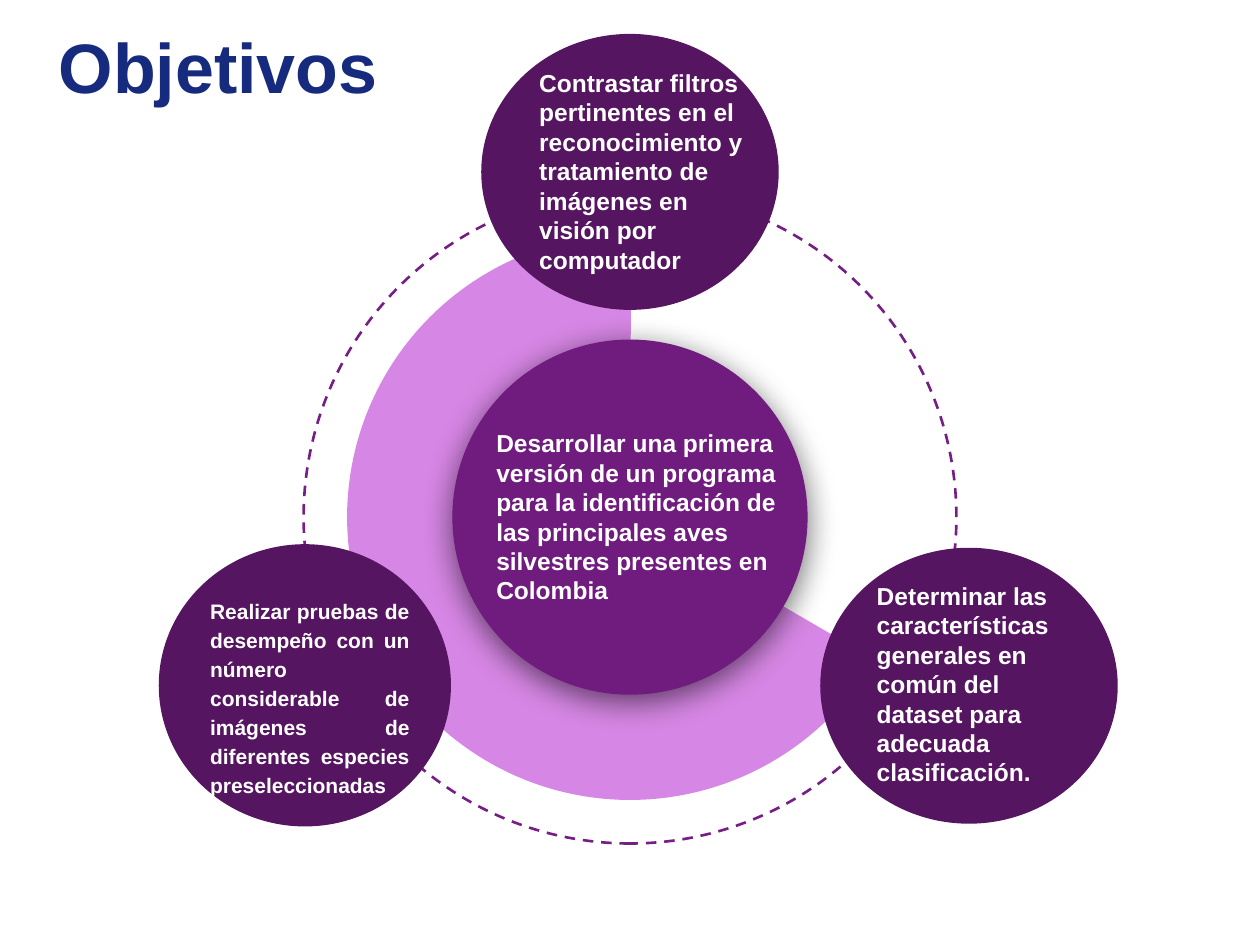
from lxml import etree
from pptx import Presentation
from pptx.dml.color import RGBColor
from pptx.enum import dml, shapes, text
from pptx.oxml.ns import qn
from pptx.util import Pt

WHITE = RGBColor(0xFF, 0xFF, 0xFF)
NAVY = RGBColor(0x17, 0x2B, 0x7E)
DASH_PURPLE = RGBColor(0x76, 0x1E, 0x86)
LILAC = RGBColor(0xD6, 0x86, 0xE4)
CORE_PURPLE = RGBColor(0x70, 0x1C, 0x7F)
DARK_PURPLE = RGBColor(0x55, 0x15, 0x61)

CENTER = (360, 295.5)
DEGREE = 0.6  # one degree in pie adjustment units

# circle (left, top, width, height), text box, wording, text format
SATELLITES = [
    ((90.7, 311, 167, 161.3), (113, 332.6, 128.2, 136.1),
     "Realizar pruebas de desempeño con un número considerable de imágenes "
     "de diferentes especies preseleccionadas",
     dict(size=12, align=text.PP_ALIGN.JUSTIFY, line_spacing=1.15)),
    ((275, 19.4, 170, 157.7), (301, 31.7, 133.2, 133.2),
     "Contrastar filtros pertinentes en el reconocimiento y tratamiento de "
     "imágenes en visión por computador", {}),
    ((468.7, 313, 170, 157.7), (493.9, 324.7, 133.2, 133.2),
     "Determinar las características generales en común del dataset para "
     "adecuada clasificación.", {}),
]


def add_disc(slide, box, fill=None, kind=shapes.MSO_SHAPE.OVAL):
    """Add a round shape without outline or shadow."""
    disc = slide.shapes.add_shape(kind, *map(Pt, box))
    disc.shadow.inherit = False
    disc.line.fill.background()
    if fill is None:
        disc.fill.background()
    else:
        disc.fill.solid()
        disc.fill.fore_color.rgb = fill
    return disc


def centered(diameter):
    x, y = CENTER
    return x - diameter / 2, y - diameter / 2, diameter, diameter


def add_soft_shadow(disc):
    effects = disc._element.spPr.find(qn("a:effectLst"))
    shadow = etree.SubElement(effects, qn("a:outerShdw"), blurRad=str(Pt(18)),
                              dist=str(Pt(4)), dir="5400000", algn="ctr",
                              rotWithShape="0")
    color = etree.SubElement(shadow, qn("a:srgbClr"), val="000000")
    etree.SubElement(color, qn("a:alpha"), val="54000")


def add_text(slide, box, wording, size=14, color=WHITE, inset=7.2,
             align=text.PP_ALIGN.LEFT, anchor=text.MSO_ANCHOR.TOP,
             line_spacing=1.0):
    frame = slide.shapes.add_textbox(*map(Pt, box)).text_frame
    frame.word_wrap = True
    frame.vertical_anchor = anchor
    frame.margin_left = frame.margin_right = Pt(7.2)
    frame.margin_top = frame.margin_bottom = Pt(inset)
    paragraph = frame.paragraphs[0]
    paragraph.alignment = align
    paragraph.line_spacing = line_spacing
    run = paragraph.add_run()
    run.text = wording
    run.font.name = "Arial"
    run.font.size = Pt(size)
    run.font.bold = True
    run.font.color.rgb = color


def add_rings(slide):
    orbit = add_disc(slide, centered(373))
    orbit.rotation = 270
    orbit.line.color.rgb = DASH_PURPLE
    orbit.line.width = Pt(1.5)
    orbit.line.dash_style = dml.MSO_LINE.DASH

    sector = add_disc(slide, centered(323.3), LILAC, shapes.MSO_SHAPE.PIE)
    sector.adjustments[0] = 30.2 * DEGREE
    sector.adjustments[1] = 270.25 * DEGREE

    add_soft_shadow(add_disc(slide, centered(203), CORE_PURPLE))


def main():
    deck = Presentation()
    deck.slide_width, deck.slide_height = Pt(720), Pt(540)
    slide = deck.slides.add_slide(deck.slide_layouts[6])

    add_rings(slide)
    add_text(slide, (26.6, 26.6, 520.6, 31), "Objetivos", size=40, color=NAVY,
             inset=3.6, anchor=text.MSO_ANCHOR.MIDDLE, line_spacing=0.8)
    add_text(slide, (276.5, 237.6, 174.2, 116.6),
             "Desarrollar una primera versión de un programa para la "
             "identificación de las principales aves silvestres presentes "
             "en Colombia")
    for circle, box, wording, style in SATELLITES:
        add_disc(slide, circle, DARK_PURPLE)
        add_text(slide, box, wording, **style)

    deck.save("out.pptx")


if __name__ == "__main__":
    main()
